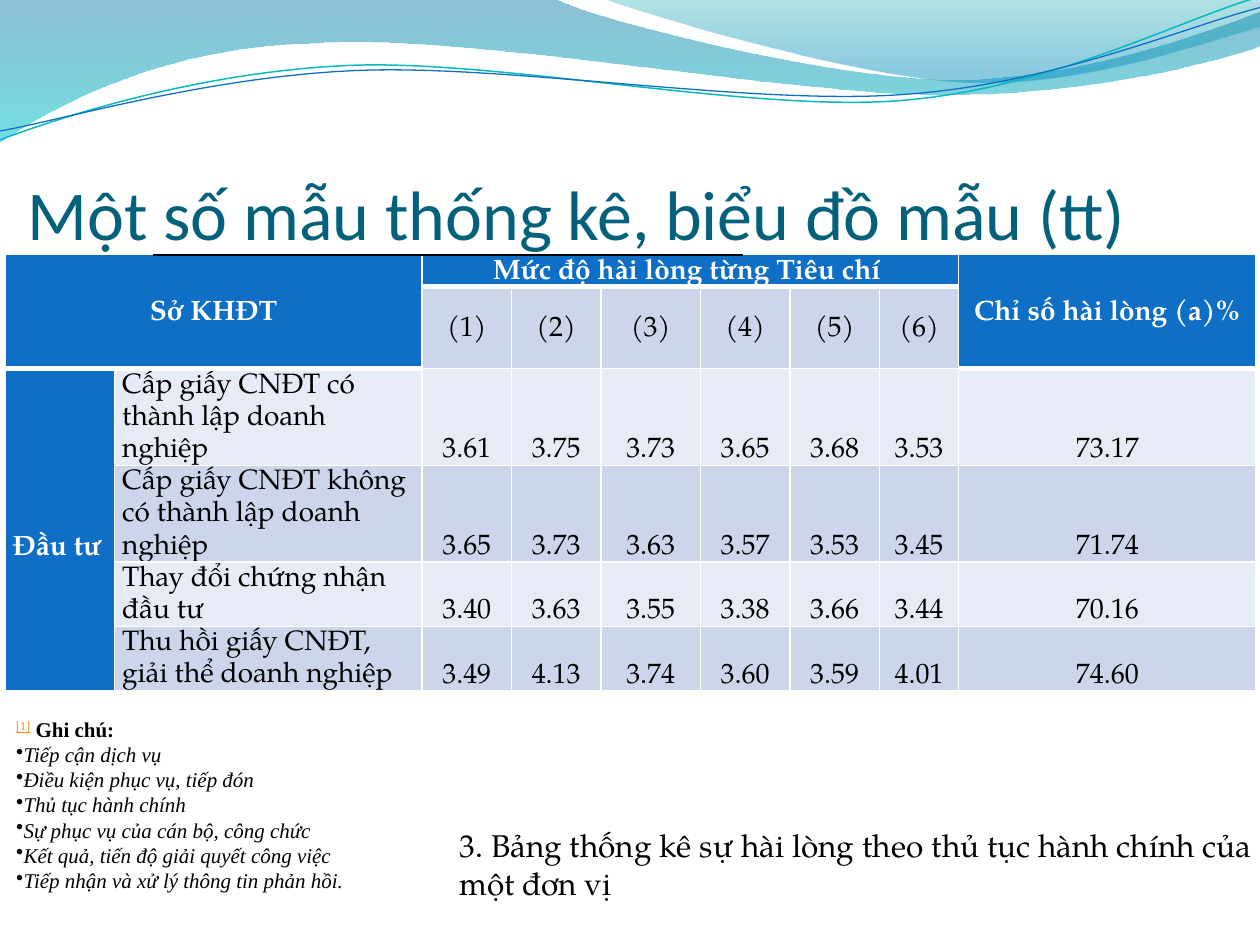
from typing import NamedTuple, Optional

from lxml import etree
from pptx import Presentation
from pptx.dml.color import RGBColor
from pptx.enum.shapes import MSO_SHAPE
from pptx.enum.text import MSO_ANCHOR, PP_ALIGN
from pptx.oxml.ns import qn
from pptx.util import Inches, Pt

LEFT, CENTER = PP_ALIGN.LEFT, PP_ALIGN.CENTER
TOP, MIDDLE, BOTTOM = MSO_ANCHOR.TOP, MSO_ANCHOR.MIDDLE, MSO_ANCHOR.BOTTOM

BLACK = RGBColor(0x00, 0x00, 0x00)
WHITE = RGBColor(0xFF, 0xFF, 0xFF)
BLUE = RGBColor(0x0F, 0x6F, 0xC6)
TEAL = RGBColor(0x0A, 0xB8, 0xBF)
TITLE_TEAL = RGBColor(0x04, 0x61, 0x7B)
ORANGE = RGBColor(0xF4, 0x91, 0x00)
BAND_DARK = RGBColor(0xCC, 0xD5, 0xEA)
BAND_LIGHT = RGBColor(0xE7, 0xEB, 0xF5)

SERIF, SANS, NOTE_FONT = "TeX Gyre Pagella", "Calibri", "Times New Roman"
TABLE_LINE = Pt(18.4)


class Stop(NamedTuple):
    position: float
    color: RGBColor
    opacity: int


class Wave(NamedTuple):
    """Outline: a 2-tuple is a straight segment, a 6-tuple a Bezier curve."""
    start: tuple
    segments: list
    stops: Optional[list] = None
    line_color: Optional[RGBColor] = None
    line_width: float = 0


class Procedure(NamedTuple):
    name: str
    scores: list
    index: str


WAVES = [
    Wave((0, 0), [(4.4, -0.01), (4.76, 0.17, 6.64, 0.63, 7.58, 0.63),
                  (8.53, 0.63, 9.58, 0.26, 10, 0.09), (10.01, 0.36),
                  (9.83, 0.44, 8.7, 0.76, 7.46, 0.75),
                  (6.22, 0.75, 3.82, 0.28, 2.57, 0.34),
                  (1.29, 0.36, 0.46, 0.83, -0.01, 1.13)],
         stops=[Stop(0, RGBColor(0x00, 0x74, 0xA1), 45),
                Stop(1, RGBColor(0x00, 0xC6, 0xCF), 55)]),
    Wave((4.79, -0.01), [(5.09, 0.11, 6.82, 0.62, 7.69, 0.65),
                         (8.56, 0.69, 9.61, 0.32, 10, 0.21), (10, 0)],
         stops=[Stop(0, RGBColor(0x00, 0xA1, 0xA9), 30),
                Stop(0.8, RGBColor(0x00, 0x8B, 0xBF), 45)]),
    Wave((0, 1.11), [(0.48, 0.93, 1.58, 0.57, 2.77, 0.52),
                     (3.95, 0.47, 5.93, 0.89, 7.13, 0.8),
                     (8.33, 0.71, 9.38, 0.15, 9.98, -0.02)],
         line_color=TEAL, line_width=0.85),
    Wave((0, 1.04), [(0.47, 0.96, 1.64, 0.61, 2.83, 0.56),
                     (4.03, 0.51, 5.97, 0.84, 7.17, 0.75),
                     (8.36, 0.67, 9.41, 0.21, 10, 0.06)],
         line_color=BLUE, line_width=0.75),
]

COL_WIDTHS = [0.87, 2.44, 0.71, 0.71, 0.79, 0.71, 0.71, 0.63, 2.36]
ROW_HEIGHTS = [0.23, 0.65] + [0.44] * 4
LAST_COL = len(COL_WIDTHS) - 1
PROCEDURES = [
    Procedure("Cấp giấy CNĐT có thành lập doanh nghiệp",
              ["3.61", "3.75", "3.73", "3.65", "3.68", "3.53"], "73.17"),
    Procedure("Cấp giấy CNĐT không có thành lập doanh nghiệp",
              ["3.65", "3.73", "3.63", "3.57", "3.53", "3.45"], "71.74"),
    Procedure("Thay đổi chứng nhận đầu tư",
              ["3.40", "3.63", "3.55", "3.38", "3.66", "3.44"], "70.16"),
    Procedure("Thu hồi giấy CNĐT, giải thể doanh nghiệp",
              ["3.49", "4.13", "3.74", "3.60", "3.59", "4.01"], "74.60"),
]
CRITERIA = ["Tiếp cận dịch vụ", "Điều kiện phục vụ, tiếp đón",
            "Thủ tục hành chính", "Sự phục vụ của cán bộ, công chức",
            "Kết quả, tiến độ giải quyết công việc",
            "Tiếp nhận và xử lý thông tin phản hồi."]


def style_run(r, name: str, size: float, color: RGBColor,
              bold: bool = False, italic: bool = False) -> None:
    r.font.name, r.font.size = name, Pt(size)
    r.font.color.rgb = color
    r.font.bold, r.font.italic = bold, italic


def bend_segments(sp, segments: list) -> None:
    """Turn each run of three line segments of a curve into one Bezier."""
    lines = iter(list(sp._element.iter(qn("a:lnTo"))))
    for seg in segments:
        first = next(lines)
        if len(seg) == 6:
            first.tag = qn("a:cubicBezTo")
            for _ in range(2):
                line = next(lines)
                first.append(line[0])
                line.getparent().remove(line)


def draw_wave(s, wave: Wave) -> None:
    points = [(Inches(seg[k]), Inches(seg[k + 1]))
              for seg in wave.segments for k in range(0, len(seg), 2)]
    builder = s.shapes.build_freeform(*map(Inches, wave.start))
    builder.add_line_segments(points, close=wave.stops is not None)
    sp = builder.convert_to_shape()
    sp.shadow.inherit = False
    if wave.stops is None:
        sp.fill.background()
        sp.line.color.rgb = wave.line_color
        sp.line.width = Pt(wave.line_width)
    else:
        sp.line.fill.background()
        sp.fill.gradient()
        sp.fill.gradient_angle = 270
        for grad_stop, stop in zip(sp.fill.gradient_stops, wave.stops):
            grad_stop.position = stop.position
            grad_stop.color.rgb = stop.color
        for clr, stop in zip(sp._element.iter(qn("a:srgbClr")), wave.stops):
            etree.SubElement(clr, qn("a:alpha"), val=str(stop.opacity * 1000))
    bend_segments(sp, wave.segments)


def add_text_box(s, left: float, top: float, width: float, height: float, anchor=TOP):
    box = s.shapes.add_textbox(Inches(left), Inches(top), Inches(width), Inches(height))
    tf = box.text_frame
    tf.word_wrap, tf.vertical_anchor = True, anchor
    return tf


def set_borders(cell, bottom: float) -> None:
    tc_pr = cell._tc.get_or_add_tcPr()
    for side, width in (("L", 1), ("R", 1), ("T", 1), ("B", bottom)):
        ln = etree.SubElement(tc_pr, qn(f"a:ln{side}"), w=str(Pt(width)))
        fill = etree.SubElement(ln, qn("a:solidFill"))
        etree.SubElement(fill, qn("a:srgbClr"), val=str(WHITE))


def fill_cell(cell, text: str, align=CENTER, anchor=MIDDLE, header: bool = False) -> None:
    cell.vertical_anchor = anchor
    p = cell.text_frame.paragraphs[0]
    p.text, p.alignment, p.line_spacing = text, align, TABLE_LINE
    style_run(p.runs[0], SERIF, 16, WHITE if header else BLACK, bold=header)


def draw_table(s) -> None:
    table = s.shapes.add_table(len(ROW_HEIGHTS), len(COL_WIDTHS), Inches(0.04), Inches(2.02),
                               Inches(sum(COL_WIDTHS)), Inches(sum(ROW_HEIGHTS))).table
    table.first_row = table.horz_banding = False
    for col, width in zip(table.columns, COL_WIDTHS):
        col.width = Inches(width)
    for row, height in zip(table.rows, ROW_HEIGHTS):
        row.height = Inches(height)

    # Fills, borders and margins
    for i in range(len(ROW_HEIGHTS)):
        for j in range(len(COL_WIDTHS)):
            cell = table.cell(i, j)
            in_header = i == 0 or (i == 1 and j in (0, 1, LAST_COL))
            set_borders(cell, 3 if in_header else 1)
            cell.fill.solid()
            cell.fill.fore_color.rgb = (BLUE if in_header or j == 0
                                        else BAND_DARK if i % 2 else BAND_LIGHT)
            cell.margin_left = cell.margin_right = Inches(0.06)
            cell.margin_top = cell.margin_bottom = 0

    # Headers
    for first, last in (((0, 0), (1, 1)), ((0, 2), (0, LAST_COL - 1)),
                        ((0, LAST_COL), (1, LAST_COL)), ((2, 0), (5, 0))):
        table.cell(*first).merge(table.cell(*last))
    fill_cell(table.cell(0, 0), "Sở KHĐT", header=True)
    fill_cell(table.cell(0, 2), "Mức độ hài lòng từng Tiêu chí ", anchor=BOTTOM, header=True)
    fill_cell(table.cell(0, LAST_COL), "Chỉ số hài lòng (a)%", header=True)
    fill_cell(table.cell(2, 0), "Đầu tư", align=LEFT, header=True)
    table.cell(2, 0).margin_top = Inches(0.26)
    for n in range(1, 7):
        fill_cell(table.cell(1, n + 1), f"({n})")

    # Scores
    for i, proc in enumerate(PROCEDURES, start=2):
        fill_cell(table.cell(i, 1), proc.name, align=LEFT, anchor=TOP)
        for j, value in enumerate([*proc.scores, proc.index], start=2):
            fill_cell(table.cell(i, j), value, anchor=BOTTOM)


def draw_notes(s) -> None:
    tf = add_text_box(s, 0.03, 5.63, 5.44, 1.51, MIDDLE)
    p = tf.paragraphs[0]
    for text, color, bold in (("[1]", ORANGE, False), (" ", BLACK, False),
                              ("Ghi chú:", BLACK, True)):
        r = p.add_run()
        r.text = text
        style_run(r, NOTE_FONT, 12, color, bold)
    mark = p.runs[0].font
    mark.underline = True
    mark._element.set("baseline", "30000")
    for criterion in CRITERIA:
        p = tf.add_paragraph()
        p.text = criterion
        style_run(p.runs[0], NOTE_FONT, 12, BLACK, italic=True)
        etree.SubElement(p._p.get_or_add_pPr(), qn("a:buChar"), char="•")


def main() -> None:
    prs = Presentation()
    prs.slide_width, prs.slide_height = Inches(10), Inches(7.5)
    s = prs.slides.add_slide(prs.slide_layouts[6])
    for wave in WAVES:
        draw_wave(s, wave)

    # Caption and title
    tf = add_text_box(s, 3.55, 6.51, 6.73, 0.71)
    tf.text = "3. Bảng thống kê sự hài lòng theo thủ tục hành chính của một đơn vị"
    style_run(tf.paragraphs[0].runs[0], SERIF, 18, BLACK)
    tf = add_text_box(s, 0.22, 0.77, 9.5, 1.25, BOTTOM)
    tf.margin_left = tf.margin_right = tf.margin_bottom = 0
    tf.text = "Một số mẫu thống kê, biểu đồ mẫu (tt)"
    style_run(tf.paragraphs[0].runs[0], SANS, 40, TITLE_TEAL)

    draw_table(s)

    # Rule above the table
    sp = s.shapes.add_shape(MSO_SHAPE.RECTANGLE, Inches(1.22), Inches(2.02),
                            Inches(4.67), Inches(0.01))
    sp.shadow.inherit = False
    sp.fill.solid()
    sp.fill.fore_color.rgb = sp.line.color.rgb = BLACK
    sp.line.width = Pt(0.75)

    draw_notes(s)
    prs.save("out.pptx")


if __name__ == "__main__":
    main()
